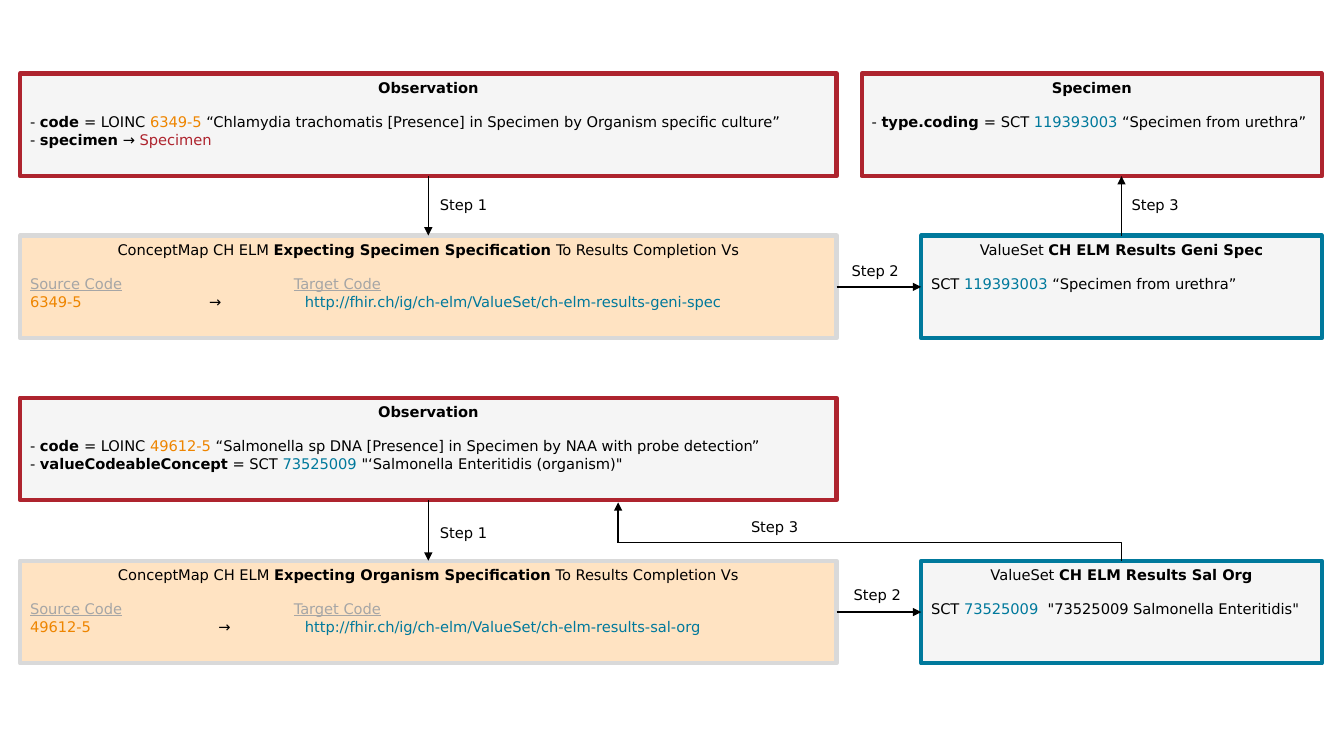
from lxml import etree
from pptx import Presentation
from pptx.dml.color import RGBColor
from pptx.enum.shapes import MSO_CONNECTOR, MSO_SHAPE
from pptx.enum.text import MSO_ANCHOR, PP_ALIGN
from pptx.oxml.ns import qn
from pptx.util import Inches, Pt

RECTANGLE = MSO_SHAPE.RECTANGLE
STRAIGHT, ELBOW = MSO_CONNECTOR.STRAIGHT, MSO_CONNECTOR.ELBOW
TOP_ANCHOR = MSO_ANCHOR.TOP
LEFT_ALIGN, CENTER_ALIGN = PP_ALIGN.LEFT, PP_ALIGN.CENTER
TOP, LEFT, BOTTOM, RIGHT = range(4)

BLACK = RGBColor(0x00, 0x00, 0x00)
RED = RGBColor(0xAE, 0x24, 0x2E)
TEAL = RGBColor(0x00, 0x79, 0x9C)
ORANGE = RGBColor(0xEE, 0x85, 0x00)
GRAY = RGBColor(0xA6, 0xA6, 0xA6)
SILVER = RGBColor(0xD9, 0xD9, 0xD9)
LIGHT = RGBColor(0xF5, 0xF5, 0xF5)
PEACH = RGBColor(0xFF, 0xE3, 0xC2)

BOLD = {"bold": True}
HEADER = {"color": GRAY, "underline": True}
RED_TEXT, TEAL_TEXT, ORANGE_TEXT = ({"color": c} for c in (RED, TEAL, ORANGE))

BOX_HEIGHT = 1.02
WIDE_LEFT, WIDE_WIDTH = 0.2, 8.11
VALUE_SET_LEFT, VALUE_SET_WIDTH = 9.15, 3.98
TARGET_HEADER_TAB, TARGET_CODE_TAB = 2.62, 2.73


class Diagram:
    def __init__(self, page):
        self.page = page
        self.font = {"name": "DejaVu Sans", "size": Pt(10.5), "bold": False}
        self.title_gap = Pt(12.2)
        self.frame_width, self.arrow_width = Pt(3), Pt(1)

    def add_spans(self, para, spans):
        """Add spans, each a plain string or a (text, format) pair."""
        for span in spans:
            text, style = (span, {}) if isinstance(span, str) else span
            run = para.add_run()
            run.text = text
            values = {**self.font, **style}
            run.font.color.rgb = values.pop("color", BLACK)
            for name, value in values.items():
                setattr(run.font, name, value)

    def set_tabs(self, para, positions):
        tabs = etree.SubElement(para._p.get_or_add_pPr(), qn("a:tabLst"))
        for position in positions:
            etree.SubElement(tabs, qn("a:tab"), pos=str(Inches(position)), algn="l")

    def box(self, left, top, width, fill, border, title, lines):
        """Draw a framed box; each line is a (spans, tab positions) pair."""
        box = self.page.shapes.add_shape(
            RECTANGLE, Inches(left), Inches(top), Inches(width), Inches(BOX_HEIGHT))
        box.shadow.inherit = False
        box.fill.solid()
        box.fill.fore_color.rgb = fill
        box.line.color.rgb = border
        box.line.width = self.frame_width
        frame = box.text_frame
        frame.word_wrap = True
        frame.vertical_anchor = TOP_ANCHOR
        heading = frame.paragraphs[0]
        heading.alignment = CENTER_ALIGN
        heading.space_after = self.title_gap
        self.add_spans(heading, title)
        for spans, tabs in lines:
            para = frame.add_paragraph()
            para.alignment = LEFT_ALIGN
            if tabs:
                self.set_tabs(para, tabs)
            self.add_spans(para, spans)
        return box

    def observation(self, top, *lines):
        return self.box(WIDE_LEFT, top, WIDE_WIDTH, LIGHT, RED,
                        [("Observation", BOLD)], [(line, ()) for line in lines])

    def concept_map(self, top, topic, source, target, arrow_tab):
        title = ["ConceptMap CH ELM ", (f"Expecting {topic} Specification", BOLD),
                 " To Results Completion Vs"]
        header = [("Source Code", HEADER), "\t", ("Target Code", HEADER)]
        mapping = [(source, ORANGE_TEXT), "\t→\t",
                   (f"http://fhir.ch/ig/ch-elm/ValueSet/{target}", TEAL_TEXT)]
        return self.box(WIDE_LEFT, top, WIDE_WIDTH, PEACH, SILVER, title,
                        [(header, [TARGET_HEADER_TAB]),
                         (mapping, [arrow_tab, TARGET_CODE_TAB])])

    def value_set(self, top, name, code, meaning):
        return self.box(VALUE_SET_LEFT, top, VALUE_SET_WIDTH, LIGHT, TEAL,
                        ["ValueSet ", (name, BOLD)],
                        [(["SCT ", (code, TEAL_TEXT), meaning], ())])

    def label(self, text, left, top):
        box = self.page.shapes.add_textbox(
            Inches(left), Inches(top), Inches(0.68), Inches(0.18))
        frame = box.text_frame
        frame.word_wrap = True
        for side in ("left", "top", "right", "bottom"):
            setattr(frame, f"margin_{side}", 0)
        self.add_spans(frame.paragraphs[0], [text])

    def connector(self, kind, start, end, head=True):
        line = self.page.shapes.add_connector(kind, *map(Inches, (*start, *end)))
        line.line.color.rgb = BLACK
        line.line.width = self.arrow_width
        properties = line._element.spPr
        if head:
            etree.SubElement(properties.find(qn("a:ln")), qn("a:tailEnd"), type="triangle")
        etree.SubElement(properties, qn("a:effectLst"))
        return line

    def arrow(self, start, end, source=None, target=None):
        """Draw an arrow; source and target are (box, side) pairs to join."""
        line = self.connector(STRAIGHT, start, end)
        if source:
            line.begin_connect(*source)
        if target:
            line.end_connect(*target)

    def corner(self, start, end):
        """Draw a line that goes up from start, then left to end."""
        rise, run = start[1] - end[1], start[0] - end[0]
        left = (start[0] + end[0] - rise) / 2
        top = (start[1] + end[1] - run) / 2
        line = self.connector(ELBOW, (left, top), (left + rise, top + run), head=False)
        properties = line._element.spPr
        properties.find(qn("a:prstGeom")).set("prst", "bentConnector2")
        frame = properties.find(qn("a:xfrm"))
        frame.set("rot", str(270 * 60000))
        frame.set("flipV", "1")

    def lookup(self, observation, concept_map, value_set, observation_top, map_top):
        """Draw the arrows of steps 1 and 2."""
        center = WIDE_LEFT + WIDE_WIDTH / 2
        middle = map_top + BOX_HEIGHT / 2
        self.arrow((center, observation_top + BOX_HEIGHT), (center, map_top),
                   (observation, BOTTOM), (concept_map, TOP))
        self.arrow((WIDE_LEFT + WIDE_WIDTH, middle), (VALUE_SET_LEFT, middle),
                   (concept_map, RIGHT), (value_set, LEFT))


def main():
    deck = Presentation()
    deck.slide_width, deck.slide_height = Inches(13.35), Inches(7.5)
    diagram = Diagram(deck.slides.add_slide(deck.slide_layouts[6]))
    value_set_center = VALUE_SET_LEFT + VALUE_SET_WIDTH / 2

    culture_top, geni_top, salmonella_top, sal_top = 0.73, 2.34, 3.95, 5.57

    culture = diagram.observation(
        culture_top,
        ["- ", ("code ", BOLD), "= LOINC ", ("6349-5", ORANGE_TEXT),
         " “Chlamydia trachomatis [Presence] in Specimen by Organism specific culture”"],
        ["- ", ("specimen", BOLD), " →", (" Specimen", RED_TEXT)])
    diagram.box(8.56, culture_top, 4.57, LIGHT, RED, [("Specimen", BOLD)],
                [(["- ", ("type.coding ", BOLD), "= SCT ", ("119393003", TEAL_TEXT),
                   " “Specimen from urethra”"], ())])
    geni_map = diagram.concept_map(
        geni_top, "Specimen", "6349-5", "ch-elm-results-geni-spec", 1.78)
    geni_set = diagram.value_set(
        geni_top, "CH ELM Results Geni Spec", "119393003", " “Specimen from urethra”")
    diagram.lookup(culture, geni_map, geni_set, culture_top, geni_top)
    diagram.arrow((value_set_center, geni_top),
                  (value_set_center, culture_top + BOX_HEIGHT), source=(geni_set, TOP))

    salmonella = diagram.observation(
        salmonella_top,
        ["- ", ("code ", BOLD), "= LOINC ", ("49612-5", ORANGE_TEXT),
         " “Salmonella sp DNA [Presence] in Specimen by NAA with probe detection”"],
        ["- ", ("valueCodeableConcept", BOLD), " = SCT ", ("73525009", TEAL_TEXT),
         ' "‘Salmonella Enteritidis (organism)"'])
    sal_map = diagram.concept_map(
        sal_top, "Organism", "49612-5", "ch-elm-results-sal-org", 1.87)
    sal_set = diagram.value_set(
        sal_top, "CH ELM Results Sal Org", "73525009 ", ' "73525009 Salmonella Enteritidis"')
    diagram.lookup(salmonella, sal_map, sal_set, salmonella_top, sal_top)
    return_turn = (6.14, 5.39)
    diagram.corner((value_set_center, sal_top), return_turn)
    diagram.arrow(return_turn, (return_turn[0], 4.99))

    for text, left, top in (
            ("Step 1", 4.37, 1.95), ("Step 2", 8.46, 2.6), ("Step 3", 11.24, 1.95),
            ("Step 1", 4.37, 5.2), ("Step 2", 8.48, 5.82), ("Step 3", 7.46, 5.14)):
        diagram.label(text, left, top)

    deck.save("out.pptx")


if __name__ == "__main__":
    main()
